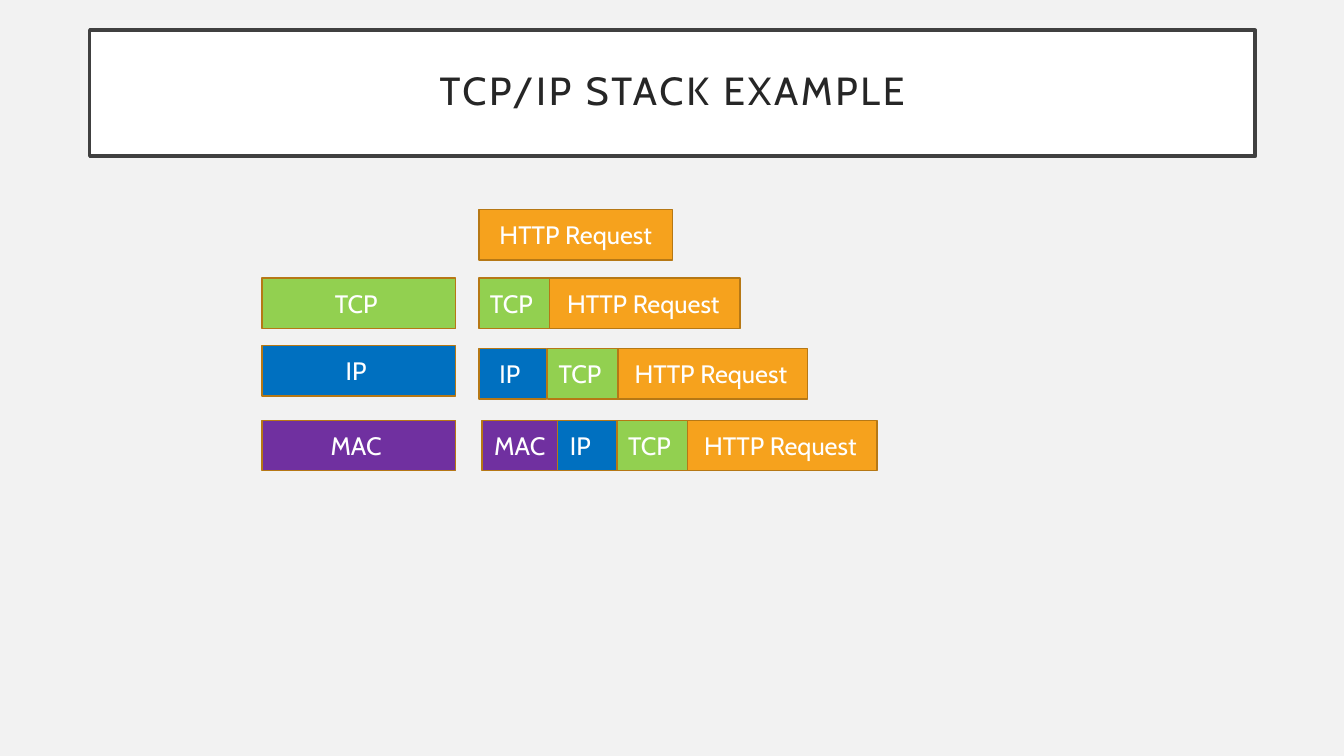
from pptx import Presentation
from pptx.dml.color import RGBColor
from pptx.enum.shapes import MSO_SHAPE
from pptx.enum.text import MSO_ANCHOR, PP_ALIGN
from pptx.util import Inches, Pt


def color(hex_string):
    return RGBColor.from_string(hex_string)


def add_box(text, left, top, width, height, fill, line="B67815", line_width=1,
            font_color="FFFFFF", size=18):
    shape = slide.shapes.add_shape(MSO_SHAPE.RECTANGLE, Inches(left), Inches(top),
                                   Inches(width), Inches(height))
    shape.shadow.inherit = False
    shape.fill.solid()
    shape.fill.fore_color.rgb = color(fill)
    shape.line.color.rgb = color(line)
    shape.line.width = Pt(line_width)
    frame = shape.text_frame
    frame.word_wrap = True
    frame.vertical_anchor = MSO_ANCHOR.MIDDLE
    paragraph = frame.paragraphs[0]
    paragraph.text = text
    paragraph.alignment = PP_ALIGN.CENTER
    paragraph.font.name = "Cabin"
    paragraph.font.size = Pt(size)
    paragraph.font.color.rgb = color(font_color)
    return frame


presentation = Presentation()
presentation.slide_width = Inches(13.33)
presentation.slide_height = Inches(7.5)
slide = presentation.slides.add_slide(presentation.slide_layouts[6])
slide.background.fill.solid()
slide.background.fill.fore_color.rgb = color("F2F2F2")

title = add_box("TCP/IP STACK EXAMPLE", 0.89, 0.3, 11.56, 1.25, "FFFFFF",
                line="404040", line_width=2.5, font_color="262626", size=28)
title.margin_left = title.margin_right = Inches(0.2)
title.margin_top = title.margin_bottom = Inches(0.2)
title.paragraphs[0].line_spacing = 0.9
title.paragraphs[0].runs[0]._r.get_or_add_rPr().set("spc", "200")

BOX_HEIGHT = 0.5
FULL_WIDTH = 1.92
fills = {"HTTP Request": "F6A21D", "TCP ": "92D050", "IP ": "0070C0", "MAC ": "7030A0"}
widths = {"HTTP Request": FULL_WIDTH, "TCP ": 0.7, "IP ": 0.67, "MAC ": 0.75}

layers = [("TCP ", 2.76), ("IP ", 3.43), ("MAC ", 4.17)]
for name, top in layers:
    add_box(name, 2.6, top, FULL_WIDTH, BOX_HEIGHT, fills[name])

packets = [
    (2.08, [4.75]),
    (2.76, [5.42, 4.75]),
    (3.46, [6.09, 5.43, 4.75]),
    (4.17, [6.78, 6.12, 5.45, 4.78]),
]
for top, lefts in packets:
    for name, left in zip(fills, lefts):
        add_box(name, left, top, widths[name], BOX_HEIGHT, fills[name])

presentation.save("out.pptx")
